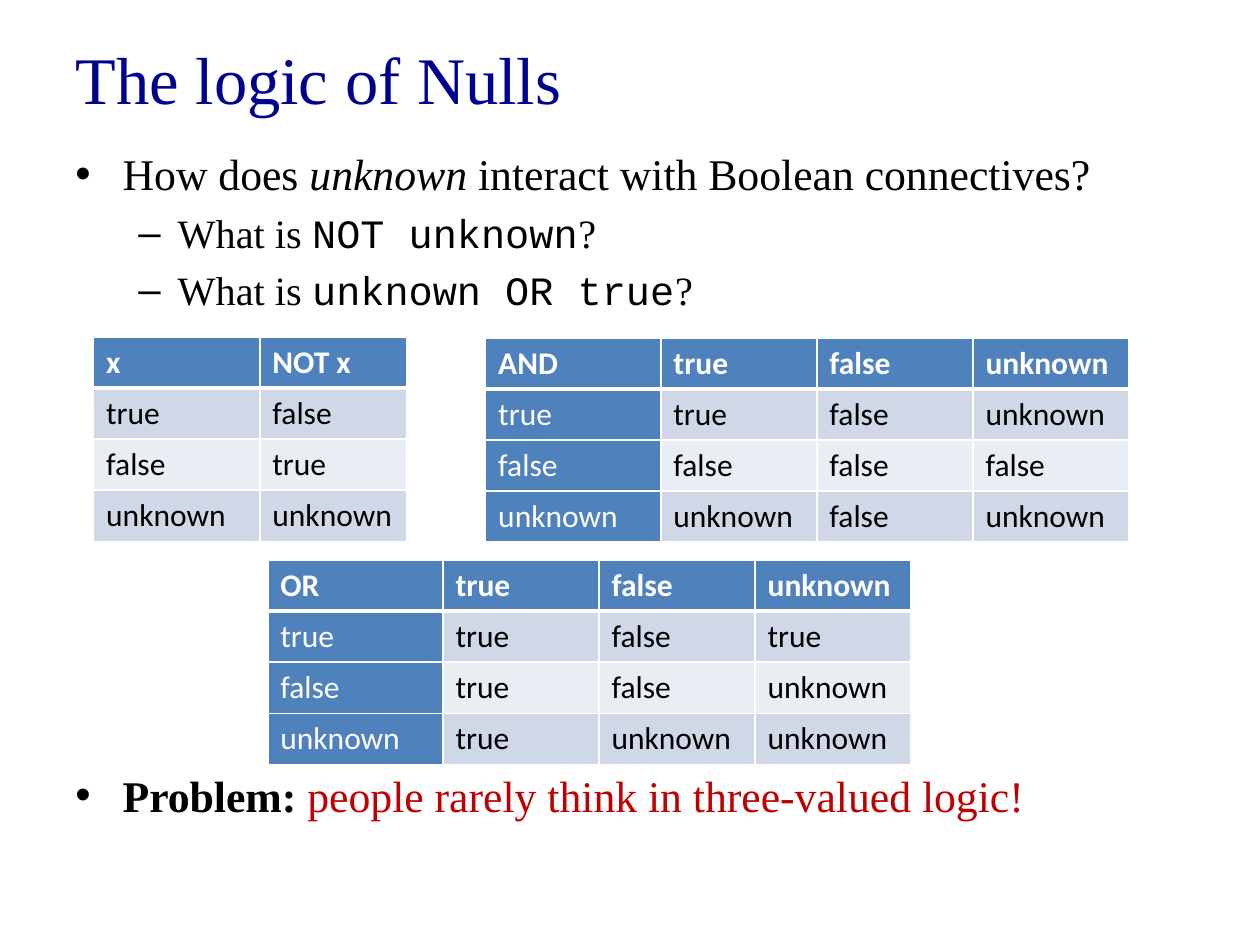
"""Build a slide on how unknown behaves in three-valued logic."""
from dataclasses import dataclass

from lxml import etree
from pptx import Presentation
from pptx.dml.color import RGBColor as Rgb
from pptx.enum import text
from pptx.oxml import ns
from pptx.util import Pt


@dataclass(frozen=True)
class Theme:
    navy: str = "000090"
    black: str = "000000"
    red: str = "C00000"
    white: str = "FFFFFF"
    blue: str = "4F81BD"
    bands: tuple[str, str] = ("D0D8E8", "E9EDF4")
    serif: str = "Times New Roman"
    mono: str = "Courier New"
    sans: str = "Calibri"
    title: float = 38
    point: float = 25
    sub: float = 23
    cell: float = 18


@dataclass(frozen=True)
class Piece:
    words: str
    font: str = Theme.serif
    color: str = Theme.black
    bold: bool = False
    italic: bool = False


@dataclass(frozen=True)
class Level:
    size: float
    mark: str
    left: float
    hang: float


@dataclass(frozen=True)
class Point:
    level: Level
    gap: float
    pieces: tuple[Piece, ...]


@dataclass(frozen=True)
class Grid:
    left: float
    top: float
    widths: tuple[float, ...]
    rows: tuple[str, ...]
    side: bool = True


THEME = Theme()
ROW = 29.2
WIDE = (100.1, 89.2, 89.2, 89.2)
MAIN = Level(THEME.point, "•", 27, 27)
SUB = Level(THEME.sub, "–", 58.5, 22.5)

POINTS = (
    Point(MAIN, 3, (Piece("How does "), Piece("unknown", italic=True),
                    Piece(" interact with Boolean connectives?"))),
    Point(SUB, 5, (Piece("What is "), Piece("NOT unknown", THEME.mono), Piece("?"))),
    Point(SUB, 5, (Piece("What is "), Piece("unknown OR true", THEME.mono), Piece("?"))),
    Point(MAIN, 260, (Piece("Problem: ", bold=True),
                      Piece("people rarely think in three-valued logic!", color=THEME.red))),
)

GRIDS = (
    Grid(53.5, 192.5, (95, 84),
         ("x|NOT x", "true|false", "false|true", "unknown|unknown"), side=False),
    Grid(277.5, 193, WIDE,
         ("AND|true|false|unknown", "true|true|false|unknown",
          "false|false|false|false", "unknown|unknown|false|unknown")),
    Grid(153, 320, WIDE,
         ("OR|true|false|unknown", "true|true|false|true",
          "false|true|false|unknown", "unknown|true|unknown|unknown")),
)


def style(font, face: str, size: float, color: str, bold=False, italic=False) -> None:
    """Set the look of a font."""
    font.name, font.size = face, Pt(size)
    font.bold, font.italic = bold, italic
    font.color.rgb = Rgb.from_string(color)


def place(shape, left: float, top: float, width: float, height: float) -> None:
    """Move and size a shape."""
    shape.left, shape.top = Pt(left), Pt(top)
    shape.width, shape.height = Pt(width), Pt(height)


def head(slide) -> None:
    """Fill and format the title."""
    title = slide.shapes.title
    place(title, 36, 6.5, 648, 75.5)
    frame = title.text_frame
    frame.text = "The logic of Nulls"
    frame.vertical_anchor = text.MSO_ANCHOR.MIDDLE
    para = frame.paragraphs[0]
    para.alignment = text.PP_ALIGN.LEFT
    style(para.runs[0].font, THEME.serif, THEME.title, THEME.navy)


def mark(para, level: Level) -> None:
    """Give a paragraph its bullet and hanging indent."""
    props = para._p.get_or_add_pPr()
    props.set("marL", str(Pt(level.left)))
    props.set("indent", str(-Pt(level.hang)))
    etree.SubElement(props, ns.qn("a:buFont"), typeface="Arial")
    etree.SubElement(props, ns.qn("a:buChar"), char=level.mark)


def body(slide, points: tuple[Point, ...]) -> None:
    """Write the bullet points."""
    frame = slide.shapes.add_textbox(Pt(36), Pt(80.6), Pt(662), Pt(453)).text_frame
    frame.word_wrap = True
    for i, point in enumerate(points):
        para = frame.add_paragraph() if i else frame.paragraphs[0]
        para.level = int(point.level is SUB)
        para.space_before = Pt(point.gap)
        mark(para, point.level)
        for piece in point.pieces:
            run = para.add_run()
            run.text = piece.words
            style(run.font, piece.font, point.level.size, piece.color,
                  piece.bold, piece.italic)


def edge(cell, row: int) -> None:
    """Draw white cell borders, thick below the header."""
    props = cell._tc.get_or_add_tcPr()
    for side in "LRTB":
        thick = (row, side) in ((0, "B"), (1, "T"))
        line = etree.SubElement(props, ns.qn(f"a:ln{side}"), w=str(Pt(3 if thick else 1)))
        fill = etree.SubElement(line, ns.qn("a:solidFill"))
        etree.SubElement(fill, ns.qn("a:srgbClr"), val=THEME.white)


def draw(slide, grid: Grid) -> None:
    """Add one truth table."""
    table = slide.shapes.add_table(
        len(grid.rows), len(grid.widths), Pt(grid.left), Pt(grid.top),
        Pt(sum(grid.widths)), Pt(ROW * len(grid.rows))).table
    table.first_col = grid.side
    for col, width in zip(table.columns, grid.widths):
        col.width = Pt(width)
    for r, line in enumerate(grid.rows):
        table.rows[r].height = Pt(ROW)
        for c, word in enumerate(line.split("|")):
            cell = table.cell(r, c)
            key = r == 0 or (grid.side and c == 0)
            edge(cell, r)
            cell.fill.solid()
            shade = THEME.blue if key else THEME.bands[(r - 1) % 2]
            cell.fill.fore_color.rgb = Rgb.from_string(shade)
            cell.text_frame.text = word
            style(cell.text_frame.paragraphs[0].runs[0].font, THEME.sans, THEME.cell,
                  THEME.white if key else THEME.black, bold=r == 0)


def main() -> None:
    """Build and save the deck."""
    deck = Presentation()
    deck.slide_width, deck.slide_height = Pt(720), Pt(540)
    slide = deck.slides.add_slide(deck.slide_layouts[5])
    head(slide)
    body(slide, POINTS)
    for grid in GRIDS:
        draw(slide, grid)
    deck.save("out.pptx")


if __name__ == "__main__":
    main()
